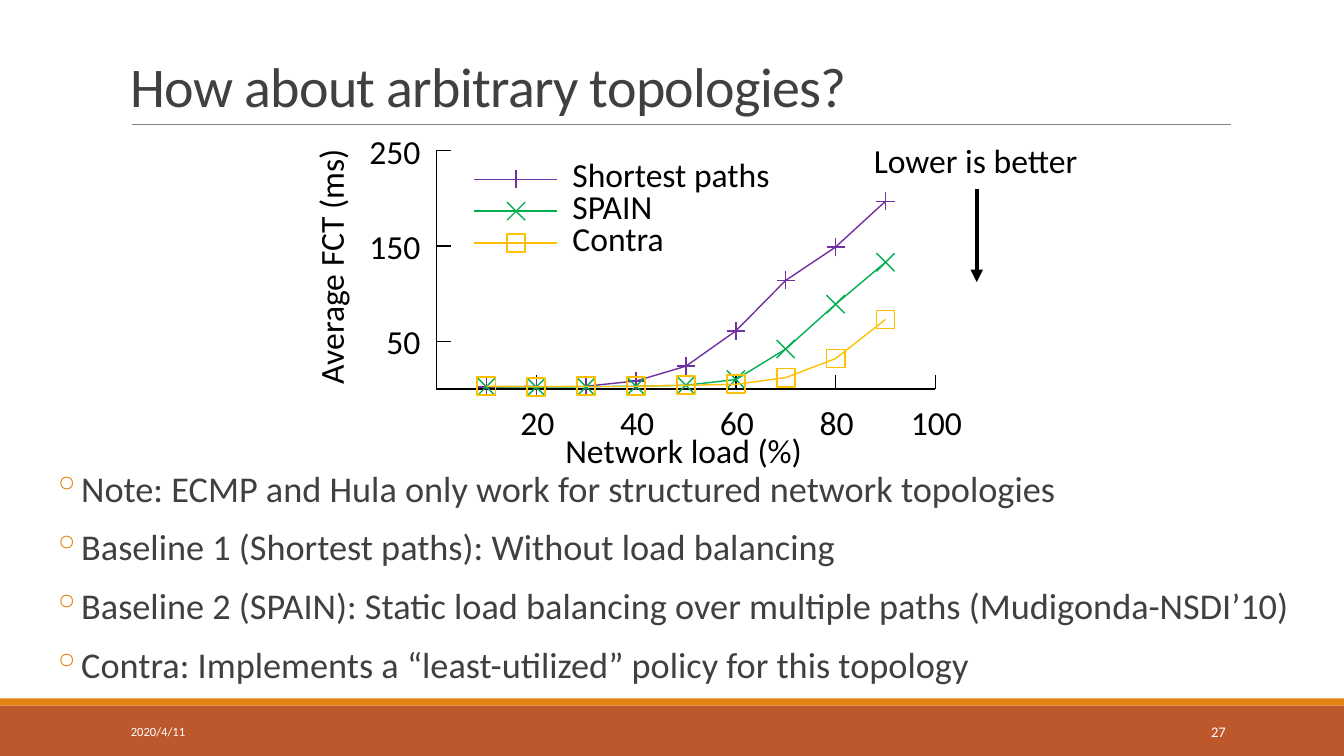
from itertools import pairwise

from lxml.etree import SubElement
from pptx import Presentation
from pptx.dml.color import RGBColor
from pptx.enum.shapes import MSO_CONNECTOR, MSO_SHAPE
from pptx.enum.text import MSO_ANCHOR, PP_ALIGN
from pptx.oxml.ns import qn
from pptx.util import Inches, Pt

COLS, ROWS = 133.33, 75
ORIGIN_X, ORIGIN_Y = 43.3, 38.6
COLS_PER_LOAD, ROWS_PER_MS = 0.495, 0.0946
HALF = 0.9
TICK = 1.4

LOADS = range(10, 100, 10)
SERIES = [
    ("Shortest paths", "7030A0", "plus", 21.8,
     [2, 3, 3, 8.5, 24, 61, 114, 149, 197]),
    ("SPAIN", "00B050", "cross", 10,
     [2.5, 2, 2.5, 3, 4, 10, 42, 89, 133]),
    ("Contra", "FFC000", "square", 11.2,
     [3, 2.5, 3, 3, 4, 5, 12, 32, 73]),
]
NOTES = [
    "Note: ECMP and Hula only work for structured network topologies",
    "Baseline 1 (Shortest paths): Without load balancing",
    "Baseline 2 (SPAIN): Static load balancing over multiple paths (Mudigonda-NSDI’10)",
    "Contra: Implements a “least-utilized” policy for this topology",
]


def rgb(value):
    return RGBColor.from_string(value)


def grid(cells):
    return Inches(cells / 10)


def plot_x(load):
    return ORIGIN_X + load * COLS_PER_LOAD


def plot_y(ms):
    return ORIGIN_Y - ms * ROWS_PER_MS


class Deck:
    font = "Calibri"
    ink = "000000"
    body = "404040"
    accent = "E48312"

    def __init__(self):
        self.prs = Presentation()
        self.prs.slide_width = grid(COLS)
        self.prs.slide_height = grid(ROWS)
        self.slide = self.prs.slides.add_slide(self.prs.slide_layouts[6])

    def rect(self, x, y, w, h, fill=None, line=None, width=1.25):
        sp = self.slide.shapes.add_shape(
            MSO_SHAPE.RECTANGLE, grid(x), grid(y), grid(w), grid(h))
        sp.shadow.inherit = False
        if fill:
            sp.fill.solid()
            sp.fill.fore_color.rgb = rgb(fill)
        else:
            sp.fill.background()
        if line:
            sp.line.color.rgb = rgb(line)
            sp.line.width = Pt(width)
        else:
            sp.line.fill.background()

    def line(self, x1, y1, x2, y2, color=ink, width=1, arrow=False):
        cn = self.slide.shapes.add_connector(
            MSO_CONNECTOR.STRAIGHT, grid(x1), grid(y1), grid(x2), grid(y2))
        cn.line.color.rgb = rgb(color)
        cn.line.width = Pt(width)
        if arrow:
            SubElement(cn.line._get_or_add_ln(), qn("a:tailEnd"), type="triangle")
        SubElement(cn._element.spPr, qn("a:effectLst"))

    def text(self, x, y, w, h, lines, size=24, color=ink, align=PP_ALIGN.LEFT,
             anchor=MSO_ANCHOR.TOP, wrap=False, vert=None):
        sp = self.slide.shapes.add_textbox(grid(x), grid(y), grid(w), grid(h))
        tf = sp.text_frame
        tf.word_wrap = wrap
        tf.vertical_anchor = anchor
        if vert:
            tf._txBody.bodyPr.set("vert", vert)
        tf.text = "\n".join(lines)
        for p in tf.paragraphs:
            p.alignment = align
            for r in p.runs:
                r.font.name = self.font
                r.font.size = Pt(size)
                r.font.color.rgb = rgb(color)
        return tf

    def title(self, x, y, w, h, text):
        tf = self.text(x, y, w, h, [text], 40, self.body,
                       anchor=MSO_ANCHOR.BOTTOM, wrap=True)
        p = tf.paragraphs[0]
        p.line_spacing = 0.85
        p.runs[0].font._element.set("spc", "-50")

    def bullets(self, x, y, w, h, lines):
        tf = self.text(x, y, w, h, lines, 25.9, self.body, wrap=True)
        tf.margin_left = tf.margin_right = 0
        for i, p in enumerate(tf.paragraphs):
            pPr = p._p.get_or_add_pPr()
            pPr.set("marL", str(Inches(0.22)))
            pPr.set("indent", str(Inches(-0.2)))
            clr = SubElement(pPr, qn("a:buClr"))
            SubElement(clr, qn("a:srgbClr"), val=self.accent)
            SubElement(pPr, qn("a:buChar"), char="◦")
            p.line_spacing = 0.9
            p.space_before = Pt(12 if i else 0)
            p.space_after = Pt(2)

    def marker(self, kind, x, y, color):
        left, right, top, bottom = x - HALF, x + HALF, y - HALF, y + HALF
        if kind == "square":
            self.rect(left, top, 2 * HALF, 2 * HALF, line=color)
        elif kind == "plus":
            self.line(left, y, right, y, color)
            self.line(x, bottom, x, top, color)
        else:
            self.line(left, top, right, bottom, color)
            self.line(right, top, left, bottom, color)

    def axes(self):
        self.line(ORIGIN_X, plot_y(250), ORIGIN_X, ORIGIN_Y)
        self.line(ORIGIN_X, ORIGIN_Y, plot_x(100), ORIGIN_Y)
        for ms in (250, 150, 50):
            y = plot_y(ms)
            self.line(ORIGIN_X + TICK, y, ORIGIN_X, y)
            self.text(35.6, y - 2.5, 7.1, 5, [str(ms)], align=PP_ALIGN.RIGHT)
        for load in range(20, 101, 20):
            x = plot_x(load)
            self.line(x, ORIGIN_Y - TICK, x, ORIGIN_Y)
            self.text(x - 3.45, 39.4, 7.1, 5, [str(load)], align=PP_ALIGN.CENTER)
        self.text(55.1, 42.2, 25.7, 5, ["Network load (%)"])
        self.text(30.3, 14.6, 6.1, 24.5, ["Average FCT (ms)"], vert="vert270")

    def series(self, kind, color, values):
        points = [(plot_x(load), plot_y(ms)) for load, ms in zip(LOADS, values)]
        for x, y in points:
            self.marker(kind, x, y, color)
        for start, end in pairwise(points):
            self.line(*start, *end, color)

    def legend(self, y, name, color, kind, width):
        self.marker(kind, 51.2, y, color)
        self.text(55.8, y - 3, width, 5, [name])
        self.line(47, y, 55.3, y, color)


def main():
    deck = Deck()
    deck.rect(0, 70, COLS, 5, "BD582C")
    deck.rect(0, 69.3, COLS, 0.7, deck.accent)
    deck.line(13.1, 12.3, 122.1, 12.3, "808080", 0.5)
    deck.title(12, 3.1, 110, 9.2, "How about arbitrary topologies?")
    deck.bullets(5, 46.2, 124, 24.5, NOTES)
    deck.text(12, 70.6, 27, 4, ["2020/4/11"], 9, "FFFFFF",
              anchor=MSO_ANCHOR.MIDDLE, wrap=True)
    deck.text(108.3, 70.6, 14.3, 4, ["27"], 10.5, "FFFFFF", PP_ALIGN.RIGHT,
              MSO_ANCHOR.MIDDLE, wrap=True)
    deck.line(96.9, 18.8, 96.9, 28, width=3, arrow=True)
    deck.text(85.7, 13.4, 22.5, 5, ["Lower is better"], wrap=True)
    deck.axes()
    for name, color, kind, width, values in SERIES:
        deck.series(kind, color, values)
    for i, (name, color, kind, width, values) in enumerate(SERIES):
        deck.legend(17.8 + 3.15 * i, name, color, kind, width)
    deck.prs.save("out.pptx")


if __name__ == "__main__":
    main()
